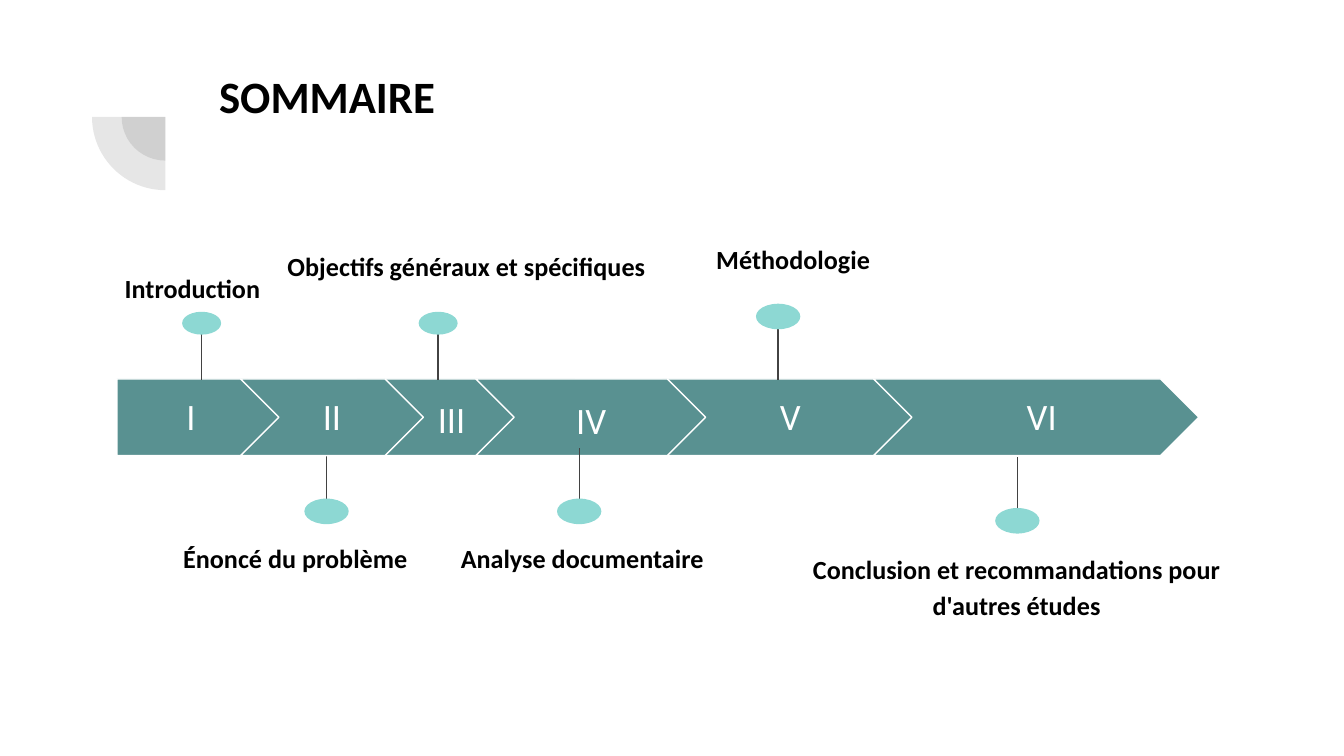
from lxml import etree
from pptx import Presentation
from pptx import util as u
from pptx.dml.color import RGBColor
from pptx.enum import shapes, text
from pptx.oxml.ns import qn

COLORS = {"band": "599191", "dot": "8DD8D3", "stem": "424242",
          "white": "FFFFFF", "black": "000000"}

# All lengths are in columns: the 16:9 slide is 10 columns wide, rows are as tall.
COLUMNS = 10
ROWS = COLUMNS * 9 / 16
BAND_TOP, BAND_HEIGHT = 2.82, 0.57
NUMERAL_SIZE = (1.26, 0.45)
DOT_OVERHANG = 0.04
SMALL_DOT, LARGE_DOT = (0.29, 0.17), (0.33, 0.19)

TITLE = ("SOMMAIRE", (1.53, 0.41, 7.7, 1))
PIE_CENTER, PIE_SIZES = (1.23, 0.87), (0.65, 1.09)

# numeral, left and width of the arrow, centre and top of the numeral
STEPS = [
    ("I", 0.87, 1.26, 1.42, 2.88),
    ("II", 1.79, 1.36, 2.47, 2.88),
    ("III", 2.66, 1.9, 3.36, 2.9),
    ("IV", 3.54, 1.71, 4.4, 2.91),
    ("V", 4.93, 1.9, 5.88, 2.88),
    ("VI", 6.5, 2.42, 7.75, 2.88),
]

# x, y at the dot, y at the band, dot size
PINS = [
    (1.5, 2.36, 2.83, SMALL_DOT),
    (2.43, 3.86, 3.33, LARGE_DOT),
    (3.26, 2.36, 2.83, SMALL_DOT),
    (4.31, 3.86, 3.33, LARGE_DOT),
    (5.79, 2.3, 2.83, LARGE_DOT),
    (7.57, 3.93, 3.4, LARGE_DOT),
]

LEFT, CENTER = text.PP_ALIGN.LEFT, text.PP_ALIGN.CENTER
LABELS = [
    ("Introduction", (0.83, 1.89, 1.66, 0.87), LEFT),
    (" Énoncé du problème", (1.22, 3.9, 2.42, 0.57), LEFT),
    (" Objectifs généraux et spécifiques", (1.98, 1.73, 2.94, 0.87), CENTER),
    ("Analyse documentaire", (3.33, 3.9, 2.42, 0.57), LEFT),
    (" Méthodologie", (4.41, 1.68, 2.94, 0.87), CENTER),
    ("Conclusion et recommandations pour d'autres études",
     (5.7, 3.98, 3.73, 0.87), CENTER),
]

TOP, MIDDLE = text.MSO_ANCHOR.TOP, text.MSO_ANCHOR.MIDDLE
HEADING = {"name": "Calibri", "size": u.Pt(24), "bold": True}
LABEL = {"name": "Calibri", "size": u.Pt(14), "bold": True}
NUMERAL = {"name": "Roboto", "size": u.Pt(18), "bold": False}
LABEL_SPACING = {"line_spacing": 1.15, "space_after": u.Pt(12)}

deck = Presentation()
deck.slide_width, deck.slide_height = u.Inches(COLUMNS), u.Inches(ROWS)
page = deck.slides.add_slide(deck.slide_layouts[5])
column = deck.slide_width / COLUMNS


def grid(*lengths):
    return [round(length * column) for length in lengths]


def rgb(name):
    return RGBColor.from_string(COLORS[name])


def set_all(target, values):
    for name, value in values.items():
        setattr(target, name, value)


def write(box, words, font, color, align, anchor=TOP, spacing=None):
    frame = box.text_frame
    set_all(frame, {"word_wrap": True, "vertical_anchor": anchor,
                    "auto_size": text.MSO_AUTO_SIZE.NONE})
    for side in ("left", "top", "right", "bottom"):
        setattr(frame, f"margin_{side}", u.Inches(0.1))
    para = frame.paragraphs[0]
    set_all(para, {"alignment": align, **(spacing or {})})
    span = para.add_run()
    span.text = words
    set_all(span.font, font)
    span.font.color.rgb = rgb(color)


def add_shape(kind, area, fill, outline=None):
    shape = page.shapes.add_shape(kind, *grid(*area))
    shape.shadow.inherit = False
    shape.fill.solid()
    shape.fill.fore_color.rgb = rgb(fill)
    if outline:
        shape.line.color.rgb = rgb(outline)
        shape.line.width = u.Pt(0.75)
    else:
        shape.line.fill.background()
    return shape


def add_quarter(size):
    """Add a translucent quarter disc around the shared centre."""
    x, y = PIE_CENTER
    quarter = add_shape(shapes.MSO_SHAPE.PIE,
                        (x - size / 2, y - size / 2, size, size), "stem")
    quarter.adjustments[0], quarter.adjustments[1] = 108, 162
    quarter.rotation = 270
    color = quarter.fill._xPr.find(".//" + qn("a:srgbClr"))
    etree.SubElement(color, qn("a:alpha"), val="13000")


def add_arrow(step):
    kind = (shapes.MSO_SHAPE.PENTAGON if step is STEPS[0]
            else shapes.MSO_SHAPE.CHEVRON)
    _, left, width, _, _ = step
    arrow = add_shape(kind, (left, BAND_TOP, width, BAND_HEIGHT), "band", "white")
    arrow.adjustments[0] = 0.5


def add_pin(x, dot_y, band_y, dot_size):
    stem = page.shapes.add_connector(shapes.MSO_CONNECTOR.STRAIGHT,
                                     *grid(x, dot_y, x, band_y))
    stem.line.color.rgb = rgb("stem")
    stem.line.width = u.Pt(0.75)
    etree.SubElement(stem._element.spPr, qn("a:effectLst"))
    width, height = dot_size
    if dot_y < band_y:
        top = dot_y - DOT_OVERHANG
    else:
        top = dot_y + DOT_OVERHANG - height
    add_shape(shapes.MSO_SHAPE.OVAL, (x - width / 2, top, width, height), "dot")


title = page.shapes.title
words, area = TITLE
title.left, title.top, title.width, title.height = grid(*area)
write(title, words, HEADING, "black", LEFT)

for size in PIE_SIZES:
    add_quarter(size)

# Even steps lie over the odd ones, and step II also covers the end of its stem.
second = STEPS[1]
for step in STEPS[::2] + STEPS[:1:-2]:
    add_arrow(step)
for pin in PINS:
    add_pin(*pin)
add_arrow(second)

for numeral, _, _, center, top in STEPS:
    width, height = NUMERAL_SIZE
    box = page.shapes.add_textbox(*grid(center - width / 2, top, width, height))
    write(box, numeral, NUMERAL, "white", CENTER, MIDDLE)

for words, area, align in LABELS:
    box = page.shapes.add_textbox(*grid(*area))
    write(box, words, LABEL, "black", align, spacing=LABEL_SPACING)

deck.save("out.pptx")
